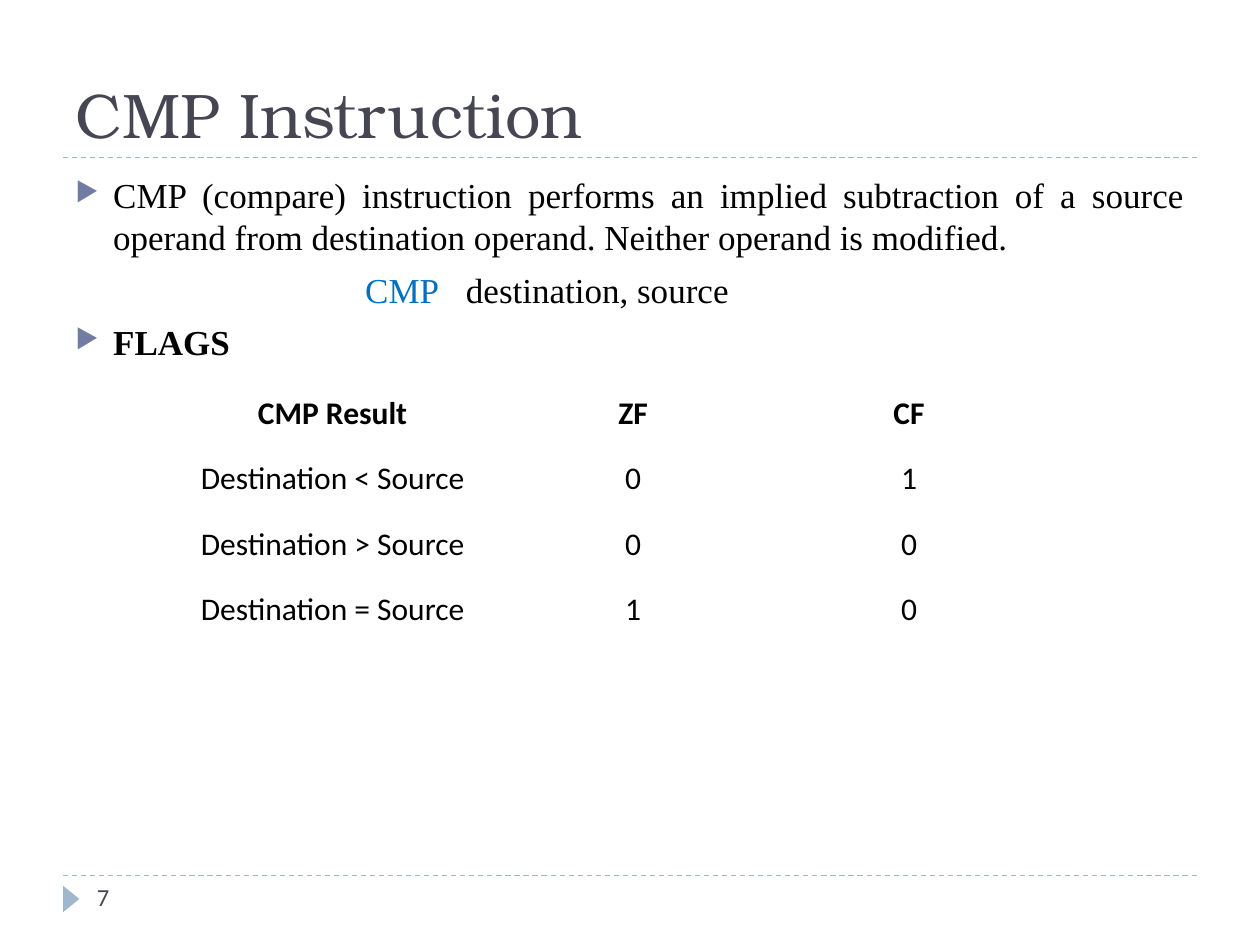
from dataclasses import dataclass
from typing import Any

import pptx
import pptx.dml.color
import pptx.enum.dml
import pptx.enum.shapes
import pptx.enum.text
import pptx.oxml
import pptx.oxml.ns
import pptx.util

Inches = pptx.util.Inches
Pt = pptx.util.Pt
ALIGN = pptx.enum.text.PP_ALIGN
ANCHOR = pptx.enum.text.MSO_ANCHOR
SHAPE = pptx.enum.shapes.MSO_SHAPE
NS = pptx.oxml.ns.nsdecls("a")


@dataclass(frozen=True)
class Theme:
    heading: str = "464653"
    body: str = "000000"
    keyword: str = "0070C0"
    bullet: str = "727CA3"
    accent: str = "9FB8CD"
    border: str = "FFFFFF"
    title_font: str = "TeX Gyre Bonum"
    body_font: str = "Times New Roman"
    table_font: str = "Calibri"
    title_size: int = 36
    body_size: int = 20
    table_size: int = 18
    number_size: int = 14


@dataclass(frozen=True)
class Run:
    text: str
    color: str = Theme.body
    bold: bool = False


@dataclass(frozen=True)
class Para:
    runs: tuple[Run, ...]
    bulleted: bool = True
    tabs: tuple[float, ...] = ()


@dataclass(frozen=True)
class Rule:
    y: float
    left: float = 0.5
    right: float = 9.5


PARAS = (
    Para((Run("CMP (compare) instruction performs an implied subtraction of a source "
              "operand from destination operand. Neither operand is modified."),)),
    Para((Run("\tCMP", Theme.keyword), Run("\tdestination, source")),
         bulleted=False, tabs=(2.3, 3.1)),
    Para((Run("FLAGS", bold=True),)),
)
RULES = (Rule(6.95), Rule(1.25))
FLAGS = (
    ("CMP Result", "ZF", "CF"),
    ("Destination < Source", "0", "1"),
    ("Destination > Source", "0", "0"),
    ("Destination = Source", "1", "0"),
)
COL_WIDTHS = (2.78, 1.99, 2.39)
ROW_HEIGHT = 0.52


def rgb(color: str) -> Any:
    return pptx.dml.color.RGBColor.from_string(color)


def set_attrs(target: Any, values: dict[str, Any]) -> None:
    for name, value in values.items():
        setattr(target, name, value)


def add_run(p: Any, text: str, font: str, size: int, color: str, bold: bool = False) -> None:
    r = p.add_run()
    r.text = text
    set_attrs(r.font, {"name": font, "size": Pt(size), "bold": bold})
    r.font.color.rgb = rgb(color)


def add_xml(parent: Any, xml: str) -> None:
    parent.append(pptx.oxml.parse_xml(xml))


def add_rule(s: Any, rule: Rule) -> None:
    line = s.shapes.add_connector(
        pptx.enum.shapes.MSO_CONNECTOR.STRAIGHT,
        Inches(rule.left), Inches(rule.y), Inches(rule.right), Inches(rule.y))
    line.line.color.rgb = rgb(Theme.accent)
    set_attrs(line.line, {"width": Pt(0.75),
                          "dash_style": pptx.enum.dml.MSO_LINE.DASH})
    add_xml(line._element.spPr, f"<a:effectLst {NS}/>")


def add_marker(s: Any) -> None:
    sp = s.shapes.add_shape(SHAPE.ISOSCELES_TRIANGLE, Inches(0.46), Inches(7.07),
                            Inches(0.21), Inches(0.13))
    sp.rotation = 90
    sp.shadow.inherit = False
    sp.fill.solid()
    sp.fill.fore_color.rgb = rgb(Theme.accent)
    sp.line.fill.background()


def add_title(s: Any, text: str) -> None:
    sp = s.shapes.title
    set_attrs(sp, {"left": Inches(0.5), "top": Inches(0.17),
                   "width": Inches(9), "height": Inches(1.08)})
    set_attrs(sp.text_frame, {"vertical_anchor": ANCHOR.BOTTOM, "word_wrap": True})
    p = sp.text_frame.paragraphs[0]
    p.alignment = ALIGN.LEFT
    add_run(p, text, Theme.title_font, Theme.title_size, Theme.heading)


def format_para(p: Any, para: Para) -> None:
    pPr = p._p.get_or_add_pPr()
    if para.bulleted:
        pPr.set("marL", str(Inches(0.3)))
        pPr.set("indent", str(Inches(-0.3)))
        add_xml(pPr, f'<a:buClr {NS}><a:srgbClr val="{Theme.bullet}"/></a:buClr>')
        add_xml(pPr, f'<a:buSzPct {NS} val="76000"/>')
        add_xml(pPr, f'<a:buChar {NS} char="▶"/>')
    else:
        add_xml(pPr, f"<a:buNone {NS}/>")
    if para.tabs:
        stops = "".join(f'<a:tab pos="{Inches(tab)}" algn="l"/>' for tab in para.tabs)
        add_xml(pPr, f"<a:tabLst {NS}>{stops}</a:tabLst>")
    p.alignment = ALIGN.JUSTIFY if para.bulleted else ALIGN.LEFT


def add_body(s: Any) -> None:
    tf = s.shapes.add_textbox(Inches(0.5), Inches(1.33), Inches(9), Inches(1.75)).text_frame
    tf.word_wrap = True
    for i, para in enumerate(PARAS):
        p = tf.add_paragraph() if i else tf.paragraphs[0]
        format_para(p, para)
        p.space_before = Pt(6 if i else 0)
        for run in para.runs:
            add_run(p, run.text, Theme.body_font, Theme.body_size, run.color, run.bold)


def add_borders(cell: Any, widths: dict[str, float]) -> None:
    tcPr = cell._tc.get_or_add_tcPr()
    for i, (side, width) in enumerate(widths.items()):
        tcPr.insert(i, pptx.oxml.parse_xml(
            f'<a:{side} {NS} w="{Pt(width)}"><a:solidFill>'
            f'<a:srgbClr val="{Theme.border}"/></a:solidFill></a:{side}>'))


def add_flags_table(s: Any) -> None:
    table = s.shapes.add_table(
        len(FLAGS), len(COL_WIDTHS), Inches(1.25), Inches(3.08),
        Inches(sum(COL_WIDTHS)), Inches(ROW_HEIGHT * len(FLAGS))).table
    set_attrs(table, {"first_row": False, "horz_banding": False})
    for column, width in zip(table.columns, COL_WIDTHS):
        column.width = Inches(width)
    for i, values in enumerate(FLAGS):
        table.rows[i].height = Inches(ROW_HEIGHT)
        for j, value in enumerate(values):
            cell = table.cell(i, j)
            cell.fill.background()
            add_borders(cell, {"lnL": 0.45, "lnR": 0.45,
                               "lnT": 1.47 if i == 1 else 0.45,
                               "lnB": 1.47 if i == 0 else 0.45})
            p = cell.text_frame.paragraphs[0]
            p.alignment = ALIGN.CENTER
            add_run(p, value, Theme.table_font, Theme.table_size, Theme.body, i == 0)


def add_number(s: Any, text: str) -> None:
    tf = s.shapes.add_textbox(Inches(0.67), Inches(6.95), Inches(2.17), Inches(0.4)).text_frame
    tf.word_wrap = True
    add_run(tf.paragraphs[0], text, Theme.table_font, Theme.number_size, Theme.heading)


def main() -> None:
    prs = pptx.Presentation()
    set_attrs(prs, {"slide_width": Inches(10), "slide_height": Inches(7.5)})
    s = prs.slides.add_slide(prs.slide_layouts[5])
    for rule in RULES:
        add_rule(s, rule)
    add_marker(s)
    add_title(s, "CMP Instruction")
    add_body(s)
    add_flags_table(s)
    add_number(s, "7")
    prs.save("out.pptx")


if __name__ == "__main__":
    main()
